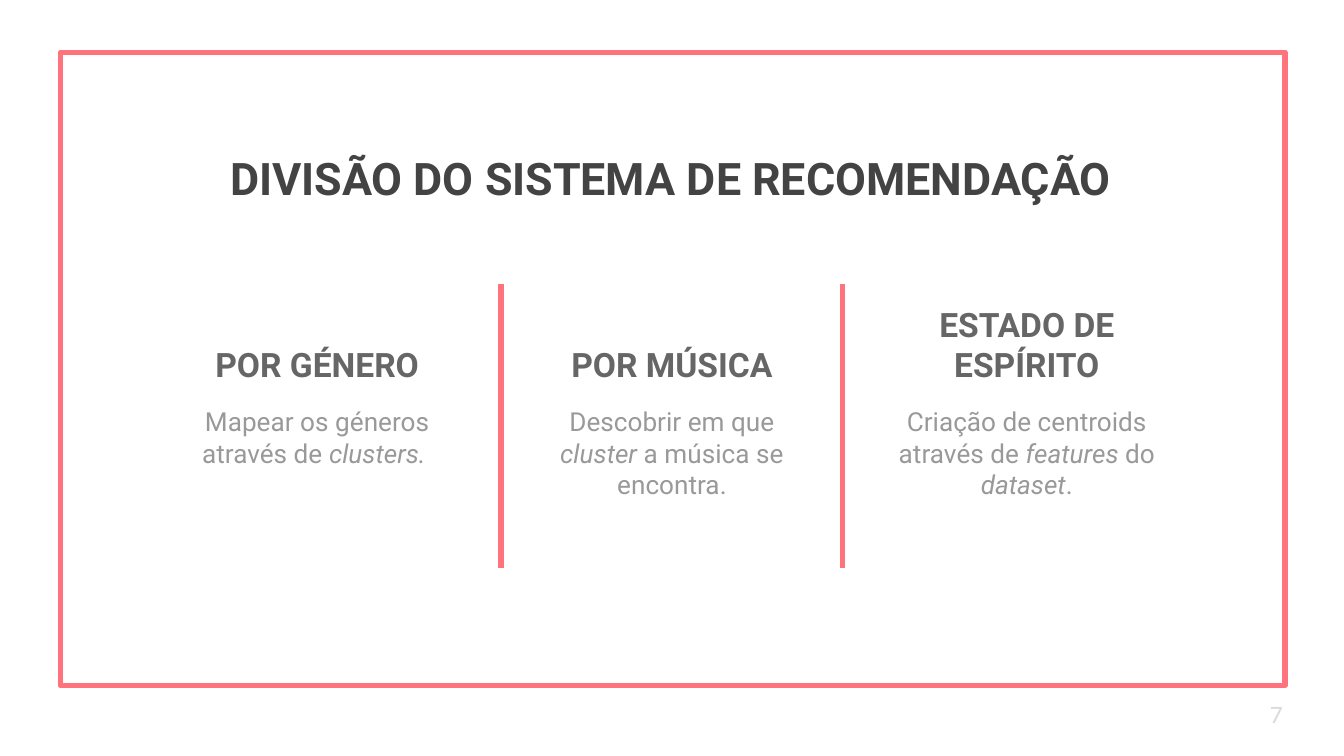
import pptx
import pptx.util
import pptx.dml.color
import pptx.enum.shapes
import pptx.enum.text
import pptx.oxml.ns
from lxml import etree

RGBColor = pptx.dml.color.RGBColor
Inches = pptx.util.Inches
Pt = pptx.util.Pt
ANCHOR = pptx.enum.text.MSO_ANCHOR
ALIGN = pptx.enum.text.PP_ALIGN

CORAL = RGBColor(0xFF, 0x73, 0x7D)
DARK = RGBColor(0x43, 0x43, 0x43)
MID = RGBColor(0x66, 0x66, 0x66)
GREY = RGBColor(0x99, 0x99, 0x99)
PALE = RGBColor(0xD9, 0xD9, 0xD9)

# 16:9 slide; column grid, in inches, spread around its middle
WIDTH = 10
HEIGHT = WIDTH * 9 / 16
CENTER = WIDTH / 2
PITCH = 2.64
COL_W = 2.31
DIVIDER_OFFSET = 1.27

# Heading, body width, body runs as (text, italic)
COLUMNS = [
    ("POR GÉNERO", 2.48,
     [("Mapear os géneros através de ", False), ("clusters. ", True)]),
    ("POR MÚSICA", COL_W,
     [("Descobrir em que ", False), ("cluster", True),
      (" a música se encontra.", False)]),
    ("ESTADO DE ESPÍRITO", COL_W,
     [("Criação de centroids através de ", False), ("features", True),
      (" do ", False), ("dataset", True), (".", False)]),
]


def add_text(s, box, runs, size, color, bold=False, font="Roboto",
             align=ALIGN.CENTER, anchor=ANCHOR.TOP):
    sp = s.shapes.add_textbox(*(Inches(v) for v in box))
    tf = sp.text_frame
    tf.word_wrap = True
    tf.vertical_anchor = anchor
    tf.margin_left = tf.margin_right = Inches(0.1)
    tf.margin_top = tf.margin_bottom = Inches(0.1)
    p = tf.paragraphs[0]
    p.alignment = align
    for text, italic in runs:
        r = p.add_run()
        r.text = text
        r.font.name = font
        r.font.size = Pt(size)
        r.font.bold = bold
        r.font.italic = italic
        r.font.color.rgb = color


def style_line(sp):
    sp.line.color.rgb = CORAL
    sp.line.width = Pt(3)


def add_frame(s):
    sp = s.shapes.add_shape(pptx.enum.shapes.MSO_SHAPE.RECTANGLE,
                            Inches(0.45), Inches(0.39),
                            Inches(9.11), Inches(4.71))
    sp.shadow.inherit = False
    sp.fill.background()
    style_line(sp)


def add_divider(s, x):
    sp = s.shapes.add_connector(pptx.enum.shapes.MSO_CONNECTOR.STRAIGHT,
                                Inches(x), Inches(2.11),
                                Inches(x), Inches(4.23))
    style_line(sp)
    etree.SubElement(sp._element.spPr, pptx.oxml.ns.qn("a:effectLst"))


def add_column(s, center, heading, body_w, body):
    add_text(s, (center - COL_W / 2, 2.26, COL_W, 0.7), [(heading, False)],
             18, MID, bold=True, anchor=ANCHOR.BOTTOM)
    add_text(s, (center - body_w / 2, 2.92, body_w, 1.7), body, 14, GREY)


def main():
    prs = pptx.Presentation()
    prs.slide_width, prs.slide_height = Inches(WIDTH), Inches(HEIGHT)
    s = prs.slides.add_slide(prs.slide_layouts[6])

    # Frame and title
    add_frame(s)
    add_text(s, (-0.01, 1.02, WIDTH, 0.53),
             [("DIVISÃO DO SISTEMA DE RECOMENDAÇÃO", False)],
             24, DARK, bold=True)

    # Three columns with dividers between them
    for side in (-1, 1):
        add_divider(s, CENTER + side * DIVIDER_OFFSET)
    for i, (heading, body_w, body) in enumerate(COLUMNS):
        add_column(s, CENTER + (i - 1) * PITCH, heading, body_w, body)

    # Slide number
    add_text(s, (9.35, 5.1, 0.6, 0.43), [("7", False)], 12, PALE,
             font="Lato", align=ALIGN.LEFT, anchor=ANCHOR.MIDDLE)

    prs.save("out.pptx")


if __name__ == "__main__":
    main()
